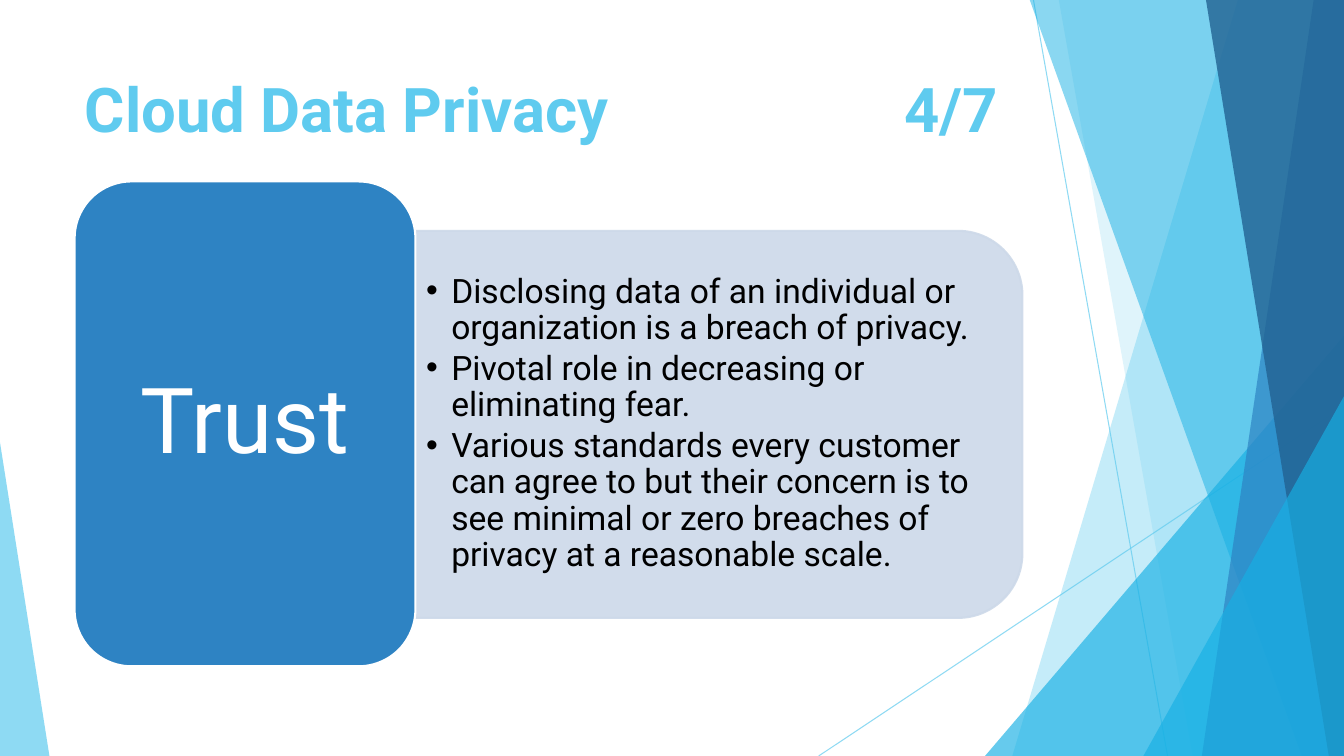
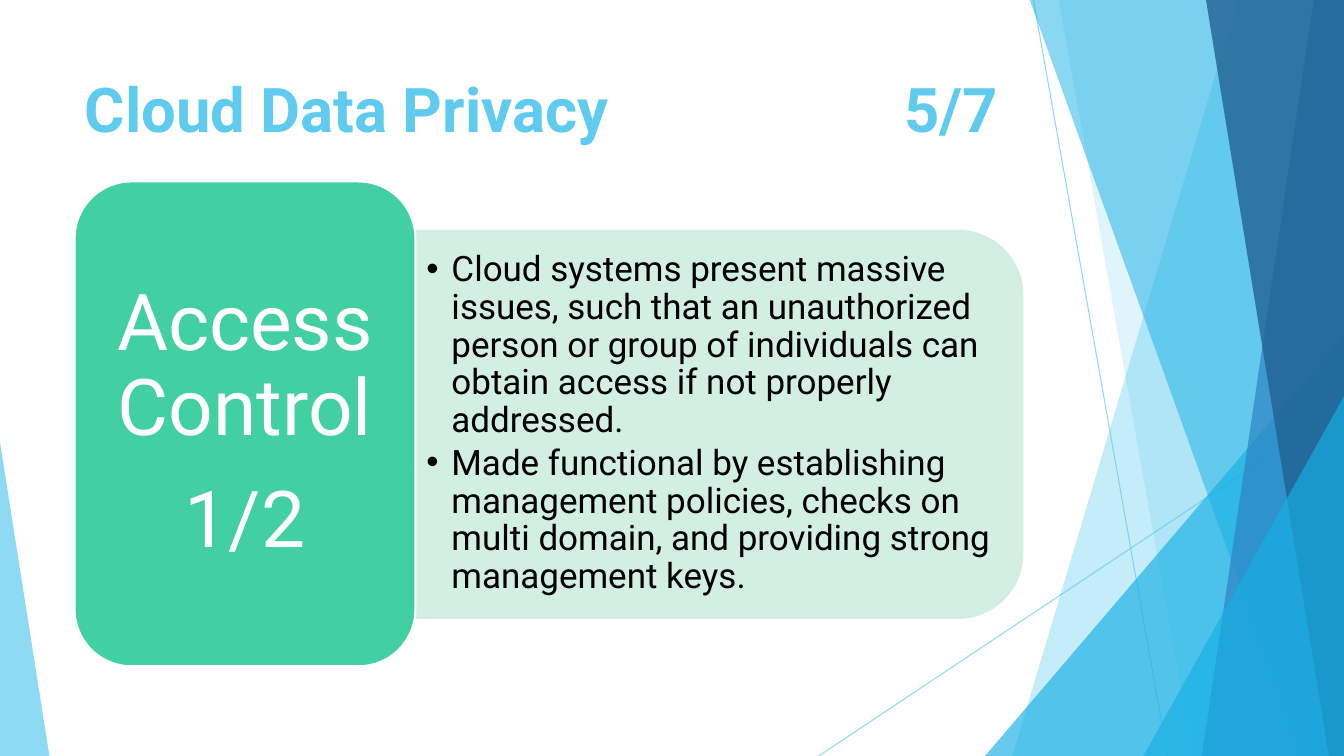
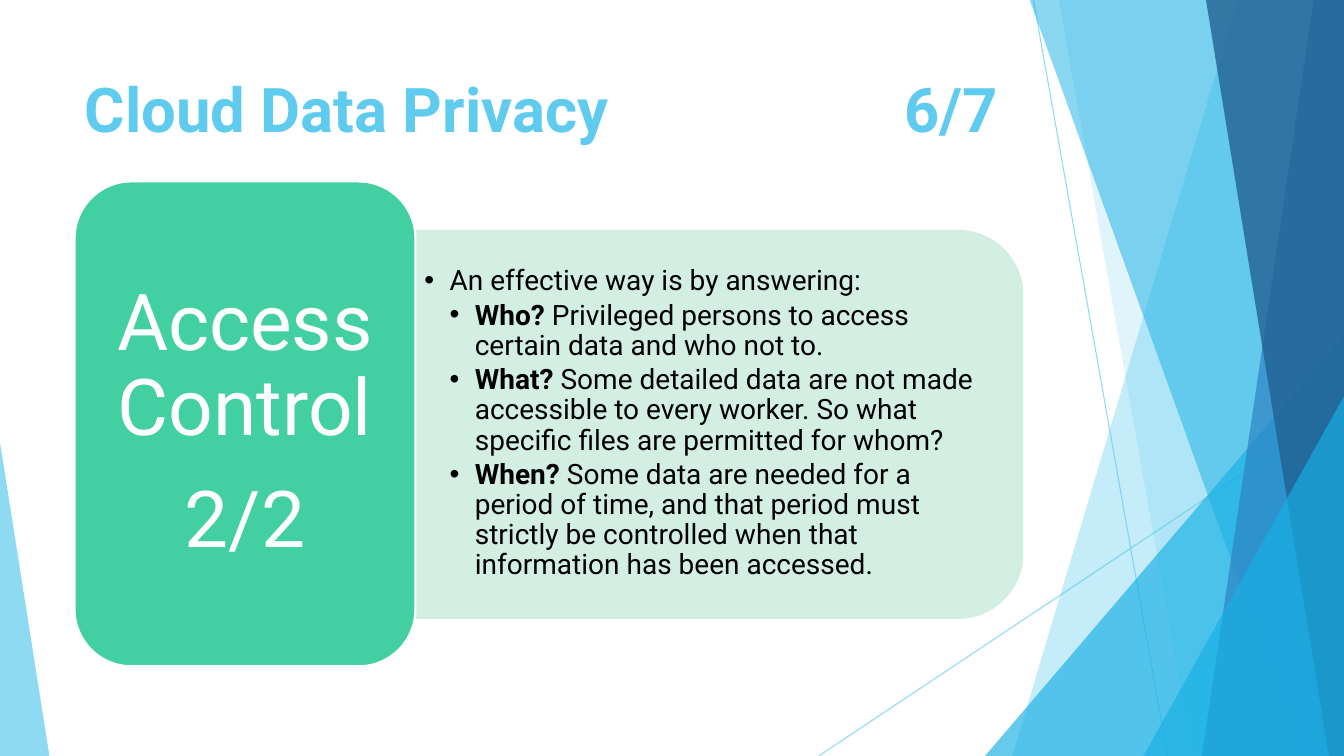
import pptx
import pptx.util
import pptx.dml.color
import pptx.enum.shapes
import pptx.enum.text
import pptx.oxml.ns
import lxml.etree

Inches = pptx.util.Inches
Pt = pptx.util.Pt
SHAPE = pptx.enum.shapes.MSO_SHAPE
ALIGN = pptx.enum.text.PP_ALIGN
ANCHOR = pptx.enum.text.MSO_ANCHOR
qn = pptx.oxml.ns.qn

WIDE, HIGH = 13.33, 7.5
FONT = "Roboto"
COLORS = {
    "sky": "5FCBEF", "cyan": "17B0E4", "blue": "2E83C3", "navy": "226292",
    "mist": "CDD9E9", "green": "42D0A2", "mint": "CFEEE0",
    "white": "FFFFFF", "black": "000000",
}

# Backdrop bands: left and right x at the top, left x at the foot, colour, opacity
BANDS_BACK = [(12.28, 10.04, "sky", 36), (10.5, 11.83, "sky", 20)]
BANDS_FRONT = [(10.21, 12.91, "cyan", 50), (13.03, 11.92, "blue", 70),
               (11.96, 13.18, "navy", 80)]

# Cards: page, label lines, label size, label colour, panel colour, text size,
# items as (level, bold lead, text)
CARDS = [
    ("4/7", ["Trust"], 65, "blue", "mist", 24, [
        (1, "", "Disclosing data of an individual or organization is a breach of privacy."),
        (1, "", "Pivotal role in decreasing or eliminating fear."),
        (1, "", "Various standards every customer can agree to but their concern is "
                "to see minimal or zero breaches of privacy at a reasonable scale."),
    ]),
    ("5/7", ["Access Control", "1/2"], 56, "green", "mint", 25, [
        (1, "", "Cloud systems present massive issues, such that an unauthorized person "
                "or group of individuals can obtain access if not properly addressed."),
        (1, "", "Made functional by establishing management policies, checks on multi "
                "domain, and providing strong management keys."),
    ]),
    ("6/7", ["Access Control", "2/2"], 56, "green", "mint", 20, [
        (1, "", "An effective way is by answering:"),
        (2, "Who?", " Privileged persons to access certain data and who not to."),
        (2, "What?", " Some detailed data are not made accessible to every worker. "
                     "So what specific files are permitted for whom?"),
        (2, "When?", " Some data are needed for a period of time, and that period must "
                     "strictly be controlled when that information has been accessed."),
    ]),
]


def rgb(name):
    return pptx.dml.color.RGBColor.from_string(COLORS[name])


def fade(shape, alpha):
    """Make the fill and line of a shape partly clear."""
    for color in shape.element.spPr.iter(qn("a:srgbClr")):
        lxml.etree.SubElement(color, qn("a:alpha"), val=str(alpha * 1000))


def paint(shape, fill, alpha=100, edge=None):
    shape.shadow.inherit = False
    shape.fill.solid()
    shape.fill.fore_color.rgb = rgb(fill)
    if edge:
        shape.line.color.rgb = rgb(edge)
        shape.line.width = Pt(1.5)
    else:
        shape.line.fill.background()
    if alpha < 100:
        fade(shape, alpha)


def add_box(shapes, kind, left, top, wide, high):
    return shapes.add_shape(kind, Inches(left), Inches(top), Inches(wide), Inches(high))


def add_line(shapes, *ends):
    line = shapes.add_connector(pptx.enum.shapes.MSO_CONNECTOR.STRAIGHT,
                                *[Inches(end) for end in ends])
    line.line.color.rgb = rgb("sky")
    line.line.width = Pt(0.75)
    fade(line, 70)
    lxml.etree.SubElement(line.element.spPr, qn("a:effectLst"))


def add_band(shapes, top_x, foot_x, fill, alpha):
    """Draw a band from a slanted left side to the right edge of the slide."""
    rim = -0.01
    form = shapes.build_freeform(Inches(top_x), Inches(rim))
    form.add_line_segments([(Inches(x), Inches(y)) for x, y in
                            ((WIDE, rim), (WIDE, HIGH), (foot_x, HIGH))])
    paint(form.convert_to_shape(), fill, alpha)


def add_wedge(shapes, left, top, wide, peak, fill, alpha):
    """Draw a triangle that stands on the foot of the slide."""
    wedge = add_box(shapes, SHAPE.ISOSCELES_TRIANGLE, left, top, wide, HIGH - top)
    wedge.adjustments[0] = peak
    paint(wedge, fill, alpha)


def add_run(para, text, size, color, bold=False):
    run = para.add_run()
    run.text = text
    run.font.name = FONT
    run.font.size = Pt(size)
    run.font.bold = bold
    run.font.color.rgb = rgb(color)


def set_frame(frame, inset):
    frame.word_wrap = True
    frame.vertical_anchor = ANCHOR.MIDDLE
    frame.margin_left = frame.margin_right = Inches(inset)
    frame.margin_top = frame.margin_bottom = Inches(inset / 2)


def add_para(frame, first, size, gap):
    para = frame.paragraphs[0] if first else frame.add_paragraph()
    para.line_spacing = 0.9
    para.space_after = Pt(size * gap)
    return para


def set_layout(layout, slide):
    """Place the title and move the backdrop to the layout."""
    for holder in list(layout.placeholders):
        if holder.placeholder_format.idx:
            holder.element.getparent().remove(holder.element)
    title = layout.placeholders[0]
    title.left, title.top = Inches(0.74), Inches(0.67)
    title.width, title.height = Inches(9.4), Inches(0.8)

    group = slide.shapes.add_group_shape()
    shapes = group.shapes
    add_line(shapes, 10.25, 0, 11.58, HIGH)
    add_line(shapes, WIDE, 4.03, 8.12, HIGH)
    for band in BANDS_BACK:
        add_band(shapes, *band)
    add_wedge(shapes, 9.77, 3.33, 3.56, 1, "cyan", 66)
    for band in BANDS_FRONT:
        add_band(shapes, *band)
    add_wedge(shapes, 11.34, 3.93, 1.99, 1, "cyan", 66)
    add_wedge(shapes, 0, 4.39, 0.49, 0, "sky", 70)
    layout.shapes.element.insert(2, group.element)


def set_title(slide, page):
    frame = slide.shapes.title.text_frame
    set_frame(frame, 0.1)
    frame.auto_size = pptx.enum.text.MSO_AUTO_SIZE.NONE
    para = frame.paragraphs[0]
    para.alignment = ALIGN.LEFT
    tabs = lxml.etree.SubElement(para._p.get_or_add_pPr(), qn("a:tabLst"))
    lxml.etree.SubElement(tabs, qn("a:tab"), pos=str(Inches(9.06)), algn="r")
    add_run(para, "Cloud Data Privacy\t" + page, 44, "sky", True)


def add_panel(slide, fill, size, items):
    panel = add_box(slide.shapes, SHAPE.ROUND_2_SAME_RECTANGLE, 5.21, 1.2, 3.84, 6.02)
    panel.rotation = 90
    paint(panel, fill, 90, fill)

    # Bullet list
    box = slide.shapes.add_textbox(Inches(4.13), Inches(2.47), Inches(5.83), Inches(3.47))
    frame = box.text_frame
    set_frame(frame, size / 250)
    for index, (level, lead, text) in enumerate(items):
        para = add_para(frame, index == 0, size, 0.14)
        para.level = level
        props = para._p.get_or_add_pPr()
        props.set("marL", str(Inches(0.25 * level)))
        props.set("indent", str(Inches(-0.25)))
        lxml.etree.SubElement(props, qn("a:buFont"), typeface="Arial")
        lxml.etree.SubElement(props, qn("a:buChar"), char="•")
        if lead:
            add_run(para, lead, size, "black", True)
        add_run(para, text, size, "black")


def add_label(slide, fill, size, lines):
    label = add_box(slide.shapes, SHAPE.ROUNDED_RECTANGLE, 0.74, 1.8, 3.38, 4.81)
    paint(label, fill, edge="white")
    set_frame(label.text_frame, size / 240)
    for index, text in enumerate(lines):
        para = add_para(label.text_frame, index == 0, size, 0.35)
        para.alignment = ALIGN.CENTER
        add_run(para, text, size, "white")


def main():
    deck = pptx.Presentation()
    deck.slide_width, deck.slide_height = Inches(WIDE), Inches(HIGH)
    layout = deck.slide_layouts.get_by_name("Title Only")
    slides = [deck.slides.add_slide(layout) for _ in CARDS]
    set_layout(layout, slides[0])
    for slide, card in zip(slides, CARDS):
        page, lines, label_size, dark, light, size, items = card
        set_title(slide, page)
        add_panel(slide, light, size, items)
        add_label(slide, dark, label_size, lines)
    deck.save("out.pptx")


if __name__ == "__main__":
    main()
